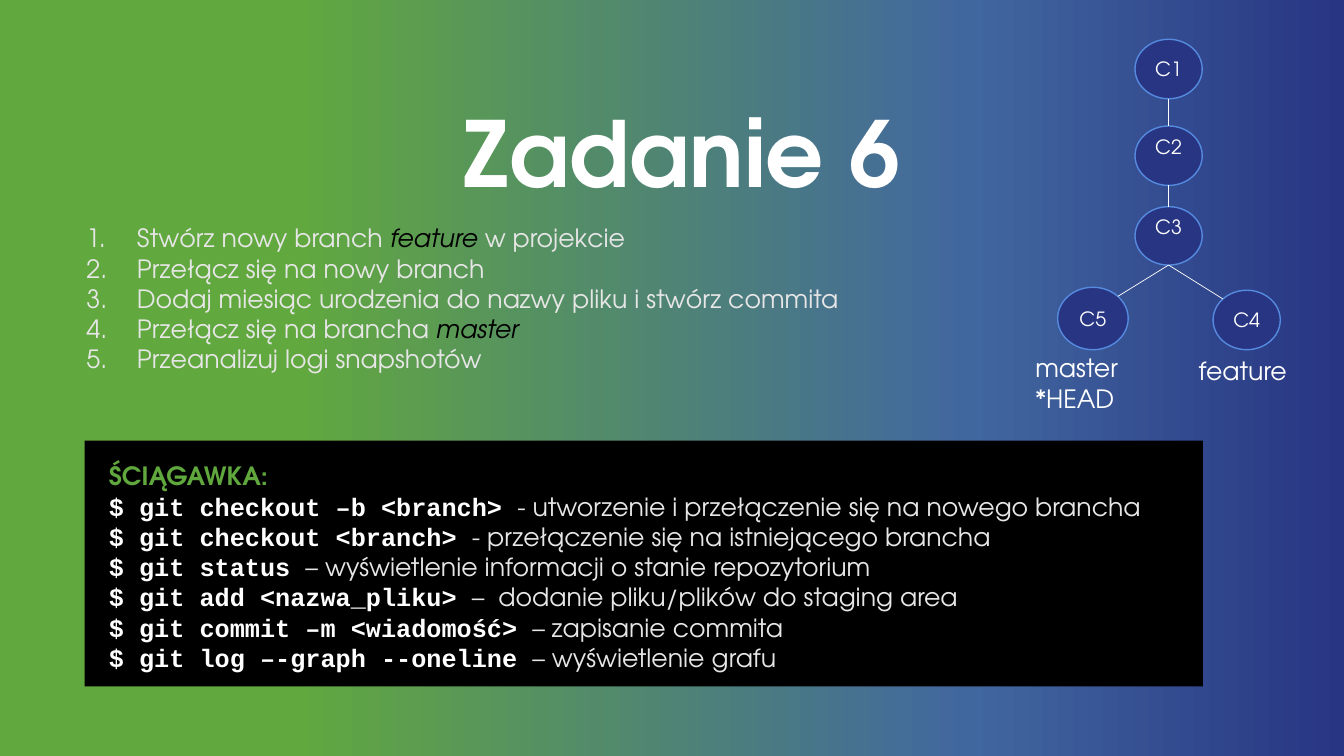
from math import sqrt

from lxml.etree import SubElement
from pptx import Presentation
from pptx.dml.color import RGBColor
from pptx.enum.shapes import MSO_CONNECTOR, MSO_SHAPE
from pptx.enum.text import MSO_ANCHOR as Anchor, PP_ALIGN as Align
from pptx.oxml.ns import qn
from pptx.util import Inches, Pt

SANS, MONO = "TeX Gyre Adventor", "Courier New"
WHITE = RGBColor(0xFF, 0xFF, 0xFF)
BLACK = RGBColor(0, 0, 0)
PALE = RGBColor(0xE7, 0xE6, 0xE6)
LIME = RGBColor(0x60, 0xA7, 0x3E)
NAVY = RGBColor(0x28, 0x35, 0x83)
OUTLINE = RGBColor(0x55, 0x8A, 0xDF)
BACKGROUND = [(0, "283583"), (28, "41679F"), (78, "61A83F")]

TITLE = "Zadanie 6"
# Each step is a list of (text, is a branch name)
STEPS = [
    [("Stwórz nowy branch ", False), ("feature ", True), ("w projekcie", False)],
    [("Przełącz się na nowy branch", False)],
    [("Dodaj miesiąc urodzenia do nazwy pliku i stwórz commita", False)],
    [("Przełącz się na brancha ", False), ("master", True)],
    [("Przeanalizuj logi snapshotów", False)],
]
CHEAT_HEADING = "ŚCIĄGAWKA:"
COMMANDS = [
    ("$ git checkout –b <branch> ", "- utworzenie i przełączenie się na nowego brancha"),
    ("$ git checkout <branch> ", "- przełączenie się na istniejącego brancha"),
    ("$ git status ", "– wyświetlenie informacji o stanie repozytorium"),
    ("$ git add <nazwa_pliku> ", "–  dodanie pliku/plików do staging area"),
    ("$ git commit –m <wiadomość> ", "– zapisanie commita"),
    ("$ git log –-graph --oneline ", "– wyświetlenie grafu"),
]

# The slide is a grid of 100 columns by 100 rows
WIDTH, HEIGHT = Inches(13.33), Inches(7.5)
TITLE_AREA = (33.76, 6.8, 48.54, 26.27)
STEPS_AREA = (5.7, 28.8, 78.7, 21.6)
CHEAT_AREA = (6.3, 58.27, 83.2, 32.53)
# Commit: centre column, centre row, columns wide, rows high, text anchor
COMMITS = {
    "C1": (86.95, 9.13, 5, 7.87, Anchor.MIDDLE),
    "C2": (86.95, 20.6, 5, 7.87, Anchor.TOP),
    "C3": (86.95, 31.2, 5, 7.73, Anchor.TOP),
    "C5": (81.32, 42.13, 5.25, 8.27, Anchor.MIDDLE),
    "C4": (92.76, 42.33, 5, 7.87, Anchor.MIDDLE),
}
# Parent, child, side of the child that is reached (-1 left, 0 top, 1 right)
EDGES = [("C1", "C2", 0), ("C2", "C3", 0), ("C3", "C5", 1), ("C3", "C4", -1)]
LABELS = [
    (["feature"], (88.45, 46.4, 8.25, 5.33)),
    (["master", "*HEAD"], (76.29, 46, 7.73, 9.47)),
]


def x_at(column):
    return round(WIDTH * column / 100)


def y_at(row):
    return round(HEIGHT * row / 100)


def place(area):
    left, top, width, height = area
    return x_at(left), y_at(top), x_at(width), y_at(height)


def add_run(para, text, color, size=18, font=SANS, bold=False, italic=False):
    span = para.add_run()
    span.text = text
    span.font.name, span.font.size = font, Pt(size)
    span.font.bold, span.font.italic = bold, italic
    span.font.color.rgb = color


def add_paragraphs(frame, count):
    """Return the frame's first paragraph followed by new ones, all left-aligned."""
    paras = [frame.paragraphs[0]] + [frame.add_paragraph() for _ in range(count - 1)]
    for para in paras:
        para.alignment = Align.LEFT
    return paras


def add_text_frame(slide, area, wrap=True):
    frame = slide.shapes.add_textbox(*place(area)).text_frame
    frame.word_wrap = wrap
    return frame


def add_solid(slide, kind, area, fill):
    shape = slide.shapes.add_shape(kind, *place(area))
    shape.shadow.inherit = False
    shape.fill.solid()
    shape.fill.fore_color.rgb = fill
    shape.line.fill.background()
    shape.text_frame.word_wrap = True
    return shape


def number(para):
    properties = para._p.get_or_add_pPr()
    properties.set("marL", str(Inches(0.5)))
    properties.set("indent", str(-Inches(0.5)))
    SubElement(properties, qn("a:buFont"), typeface="+mj-lt")
    SubElement(properties, qn("a:buAutoNum"), type="arabicPeriod")


def paint_background(slide):
    fill = slide.background.fill
    fill.gradient()
    fill.gradient_angle = 180
    stops = slide._element.find(".//" + qn("a:gsLst"))
    for stop in list(stops):
        stops.remove(stop)
    for percent, color in BACKGROUND:
        stop = SubElement(stops, qn("a:gs"), pos=str(percent * 1000))
        SubElement(stop, qn("a:srgbClr"), val=color)


def add_title(slide):
    frame = add_text_frame(slide, TITLE_AREA)
    frame.vertical_anchor = Anchor.MIDDLE
    add_run(frame.paragraphs[0], TITLE, WHITE, size=65, bold=True)


def add_steps(slide):
    frame = add_text_frame(slide, STEPS_AREA)
    for para, step in zip(add_paragraphs(frame, len(STEPS)), STEPS):
        number(para)
        for text, is_branch in step:
            add_run(para, text, BLACK if is_branch else PALE, italic=is_branch)


def add_cheat_sheet(slide):
    frame = add_solid(slide, MSO_SHAPE.RECTANGLE, CHEAT_AREA, BLACK).text_frame
    frame.vertical_anchor = Anchor.TOP
    frame.margin_left, frame.margin_right = Inches(0.24), Inches(0.28)
    frame.margin_top, frame.margin_bottom = Inches(0.2), Inches(0.12)
    heading, *lines = add_paragraphs(frame, len(COMMANDS) + 1)
    add_run(heading, CHEAT_HEADING, LIME, bold=True)
    for para, (command, meaning) in zip(lines, COMMANDS):
        add_run(para, command, WHITE, font=MONO, bold=True)
        add_run(para, meaning, PALE)


def add_commit(slide, name):
    column, row, width, height, anchor = COMMITS[name]
    area = (column - width / 2, row - height / 2, width, height)
    circle = add_solid(slide, MSO_SHAPE.OVAL, area, NAVY)
    circle.line.color.rgb, circle.line.width = OUTLINE, Pt(1)
    frame = circle.text_frame
    frame.margin_left = frame.margin_right = frame.margin_top = frame.margin_bottom = 0
    frame.vertical_anchor = anchor
    frame.paragraphs[0].alignment = Align.CENTER
    add_run(frame.paragraphs[0], name, WHITE, size=14)


def add_edge(slide, parent, child, side):
    """Join the foot of the parent to the top or an upper diagonal of the child."""
    start_column, start_row, _, start_height, _ = COMMITS[parent]
    column, row, width, height, _ = COMMITS[child]
    rise = 1 / sqrt(2) if side else 1
    edge = slide.shapes.add_connector(
        MSO_CONNECTOR.STRAIGHT,
        x_at(start_column), y_at(start_row + start_height / 2),
        x_at(column + side * rise * width / 2), y_at(row - rise * height / 2))
    edge.line.color.rgb, edge.line.width = WHITE, Pt(0.5)
    SubElement(edge._element.spPr, qn("a:effectLst"))


def add_label(slide, lines, area):
    frame = add_text_frame(slide, area, wrap=False)
    for para, text in zip(add_paragraphs(frame, len(lines)), lines):
        add_run(para, text, WHITE)


def main():
    deck = Presentation()
    deck.slide_width, deck.slide_height = WIDTH, HEIGHT
    page = deck.slides.add_slide(deck.slide_layouts[6])
    paint_background(page)
    add_title(page)
    add_steps(page)
    add_cheat_sheet(page)
    for name in COMMITS:
        add_commit(page, name)
    for edge in EDGES:
        add_edge(page, *edge)
    for lines, area in LABELS:
        add_label(page, lines, area)
    deck.save("out.pptx")


if __name__ == "__main__":
    main()
